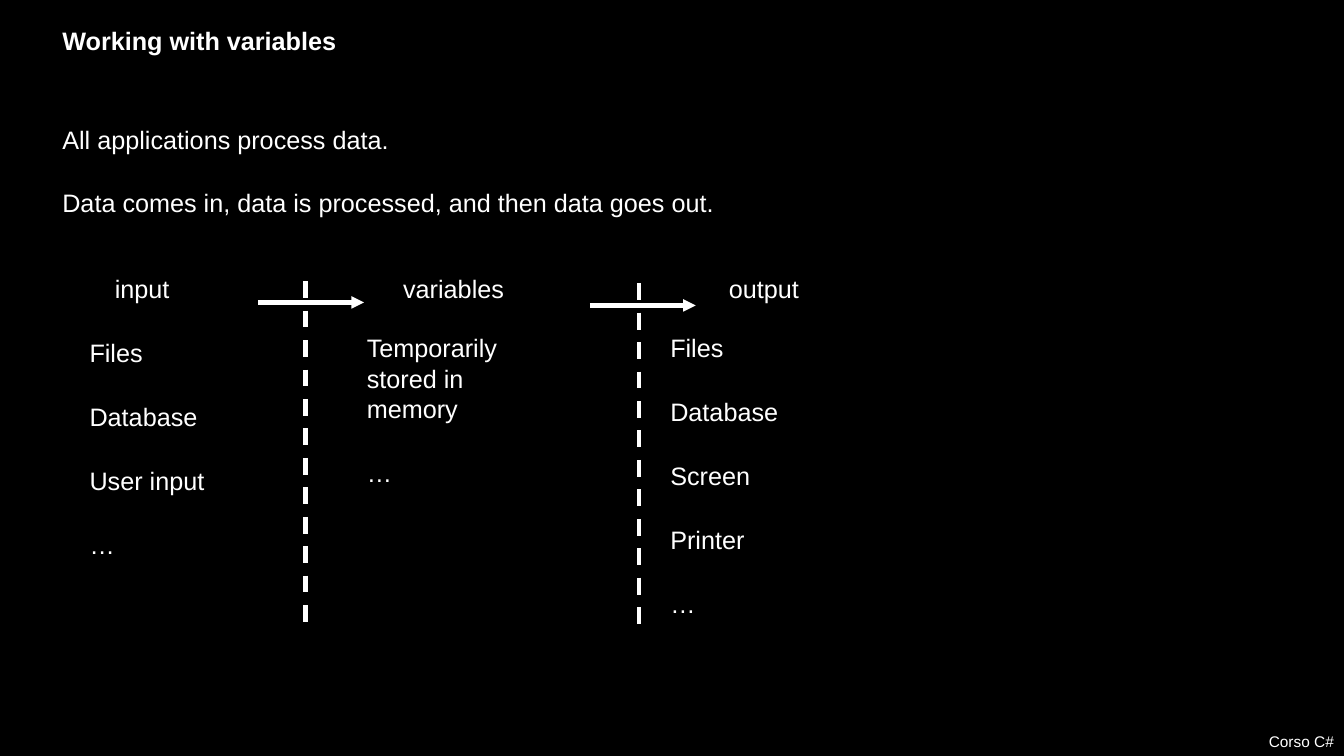
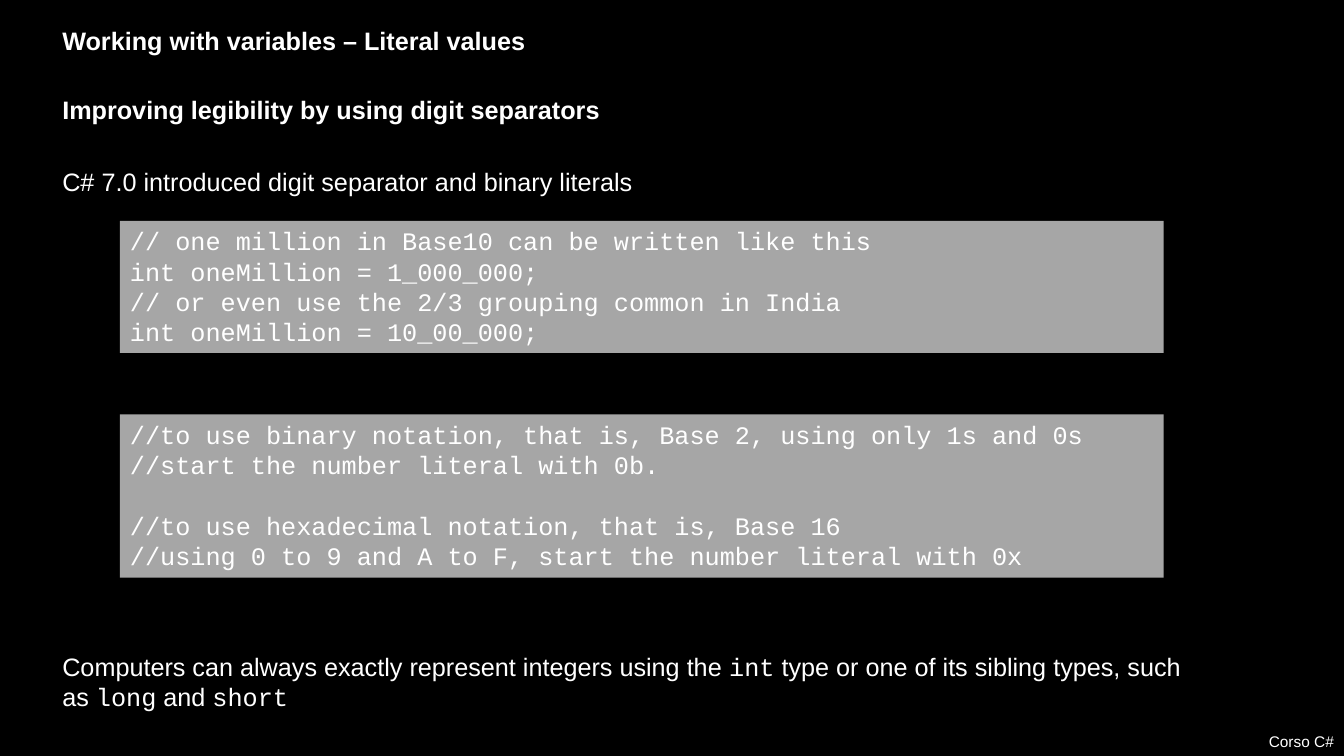
"""Build two slides on variables and literal values in C#."""
from lxml import etree
from pptx import Presentation
from pptx import util as u
from pptx.dml.color import RGBColor
from pptx.enum import dml, shapes, text
from pptx.oxml.ns import qn

WHITE, BLACK, GREY = "FFFFFF", "000000", "A6A6A6"
BODY, CODE = "Arial", "Courier New"
MARGIN, BODY_WIDTH, LINE = 0.52, 11.43, 0.4
WIDTH, HEIGHT = 13.33, 7.5


def colour(value):
    return RGBColor.from_string(value)


def write(page, place, lines, size=18, bold=False, font=BODY, fill=None,
          before=24, align=text.PP_ALIGN.LEFT, wrap=True):
    """Write one paragraph per line; backticks mark code words."""
    area = [u.Inches(length) for length in place]
    if fill:
        box = page.shapes.add_shape(shapes.MSO_SHAPE.RECTANGLE, *area)
        box.shadow.inherit = False
        box.fill.solid()
        box.fill.fore_color.rgb = colour(fill)
        box.line.fill.background()
    else:
        box = page.shapes.add_textbox(*area)
    frame = box.text_frame
    frame.word_wrap = wrap
    frame.auto_size = text.MSO_AUTO_SIZE.SHAPE_TO_FIT_TEXT
    frame.vertical_anchor = text.MSO_ANCHOR.TOP
    for number, line in enumerate(lines):
        para = frame.add_paragraph() if number else frame.paragraphs[0]
        para.alignment = align
        para.space_before = u.Pt(before)
        for part, words in enumerate(line.split("`")):
            if words:
                span = para.add_run()
                span.text = words
                style = {"name": CODE if part % 2 else font,
                         "size": u.Pt(size), "bold": bold}
                for name, value in style.items():
                    setattr(span.font, name, value)
                span.font.color.rgb = colour(WHITE)
    return frame


deck = Presentation()
deck.slide_width, deck.slide_height = u.Inches(WIDTH), u.Inches(HEIGHT)
backdrop = deck.slide_master.background.fill
backdrop.solid()
backdrop.fore_color.rgb = colour(BLACK)

titles = [("Working with variables", 2.95),
          ("Working with variables – Literal values", 4.84)]
pages = []
for title, width in titles:
    page = deck.slides.add_slide(deck.slide_layouts[6])
    write(page, (0, 7.21, WIDTH, 0.29), ["Corso C#"], size=11, before=0,
          align=text.PP_ALIGN.RIGHT)
    write(page, (MARGIN, 0.2, width, LINE), [title], bold=True, wrap=False)
    pages.append(page)
flow, literals = pages

write(flow, (MARGIN, 1.18, BODY_WIDTH, 1.04),
      ["All applications process data.",
       "Data comes in, data is processed, and then data goes out."])

columns = [
    ("input", 1.04, 1.03, 0.79, 3.3, 2.32,
     ["Files", "Database", "User input", "…"]),
    ("variables", 3.9, 3.69, 3.54, 3.25, 1.65,
     ["Temporarily stored in memory", "…"]),
    ("output", 7.13, 1.03, 6.55, 3.25, 2.96,
     ["Files", "Database", "Screen", "Printer", "…"]),
]
for heading, heading_left, heading_width, left, top, height, items in columns:
    write(flow, (heading_left, 2.66, heading_width, LINE), [heading])
    write(flow, (left, top, 1.93, height), items)

strokes = [(3.03, 2.79, 3.03, 6.26), (6.34, 2.81, 6.34, 6.28),
           (2.56, 3, 3.61, 3), (5.85, 3.03, 6.9, 3.03)]
for ends in strokes:
    stroke = flow.shapes.add_connector(
        shapes.MSO_CONNECTOR.STRAIGHT, *[u.Inches(end) for end in ends])
    stroke.line.width = u.Pt(3)
    stroke.line.color.rgb = colour(WHITE)
    if ends[0] == ends[2]:
        stroke.line.dash_style = dml.MSO_LINE.DASH
    else:
        etree.SubElement(stroke.line._get_or_add_ln(), qn("a:tailEnd"),
                         type="triangle")
    etree.SubElement(stroke._element.spPr, qn("a:effectLst"))

write(literals, (MARGIN, 0.89, BODY_WIDTH, LINE),
      ["Improving legibility by using digit separators"], bold=True)
write(literals, (MARGIN, 1.6, BODY_WIDTH, LINE),
      ["C# 7.0 introduced digit separator and binary literals"])

listings = [
    (2.19, 1.31, ["// one million in Base10 can be written like this",
                  "int oneMillion = 1_000_000;",
                  "// or even use the 2/3 grouping common in India",
                  "int oneMillion = 10_00_000;"]),
    (4.11, 1.62,
     ["//to use binary notation, that is, Base 2, using only 1s and 0s",
      "//start the number literal with 0b.",
      "//to use hexadecimal notation, that is, Base 16",
      "//using 0 to 9 and A to F, start the number literal with 0x"]),
]
for top, height, lines in listings:
    listing = write(literals, (1.19, top, 10.35, height), lines,
                    font=CODE, fill=GREY, before=0)
listing.paragraphs[2].space_before = u.Pt(21.6)

write(literals, (MARGIN, 6.41, BODY_WIDTH, 0.71),
      ["Computers can always exactly represent integers using the `int` type "
       "or one of its sibling types, such as `long` and `short`"])

deck.save("out.pptx")
